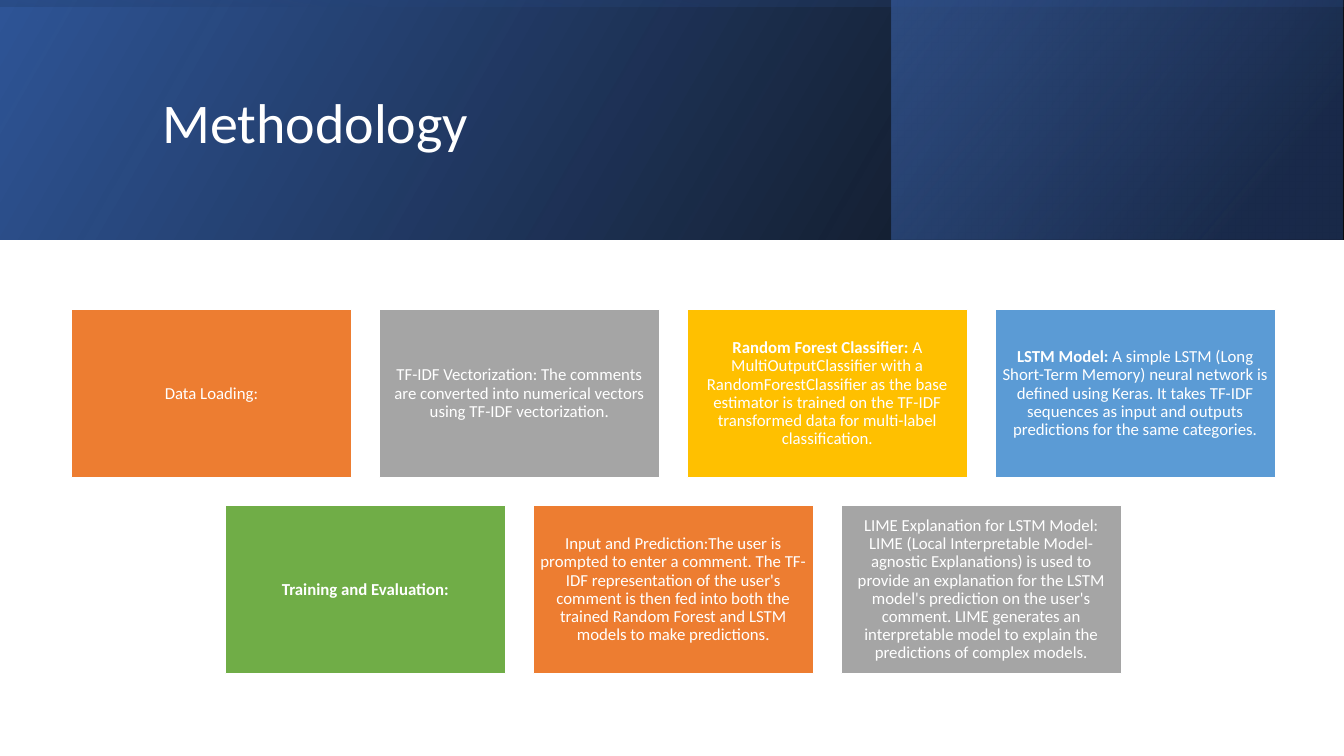
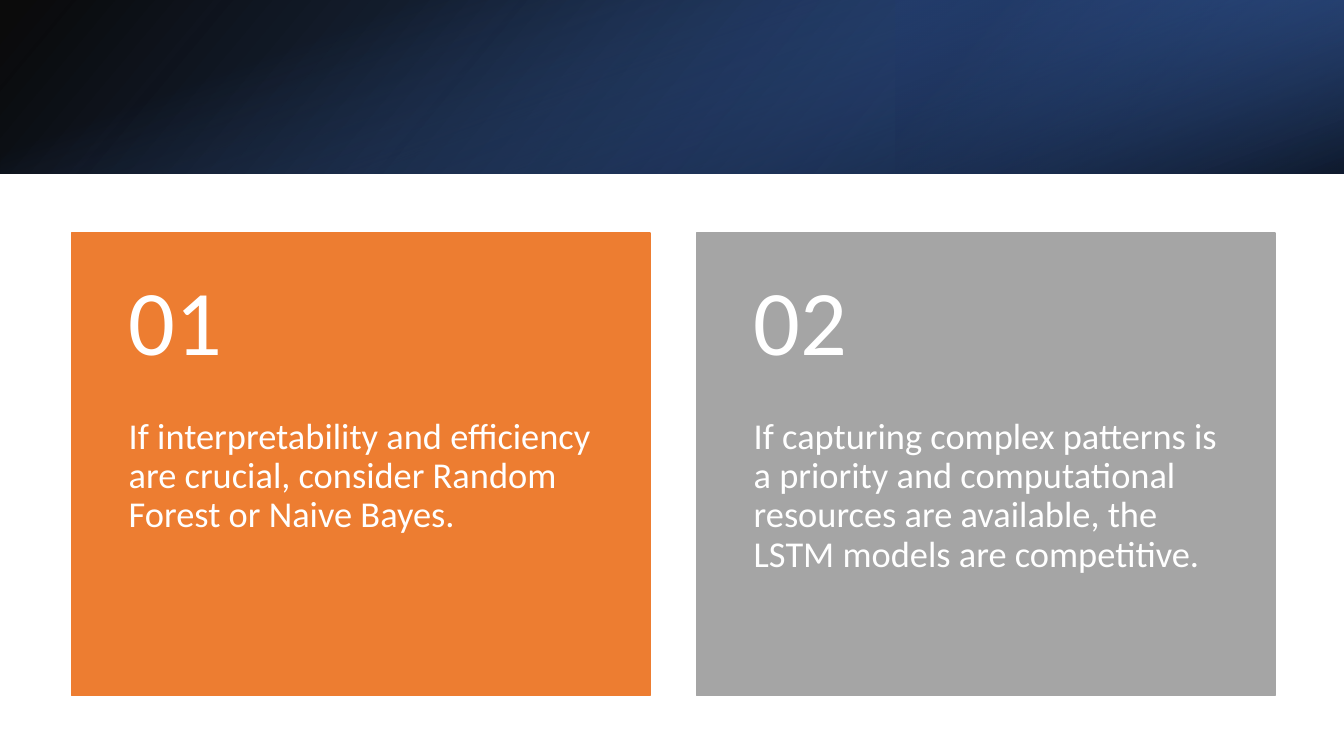
"""Build the methodology and model choice slides."""
from lxml import etree
from pptx import Presentation
from pptx.dml.color import RGBColor
from pptx.enum import shapes, text
from pptx.oxml.ns import qn
from pptx.util import Cm, Pt

C = {"white": "FFFFFF", "black": "000000", "navy": "203864", "deep": "2F5597",
     "blue": "4472C4", "orange": "ED7D31", "gray": "A5A5A5", "gold": "FFC000",
     "sky": "5B9BD5", "green": "70AD47"}
FONT = "Calibri"
W, H, CENTER = 33.87, 19.05, 16.97

STEP_ROWS = [
    [("orange", "", "Data Loading:"),
     ("gray", "", "TF-IDF Vectorization: The comments are converted into numerical vectors "
      "using TF-IDF vectorization."),
     ("gold", "Random Forest Classifier: ", "A MultiOutputClassifier with a "
      "RandomForestClassifier as the base estimator is trained on the TF-IDF transformed "
      "data for multi-label classification."),
     ("sky", "LSTM Model: ", "A simple LSTM (Long Short-Term Memory) neural network is "
      "defined using Keras. It takes TF-IDF sequences as input and outputs predictions "
      "for the same categories.")],
    [("green", "Training and Evaluation:", ""),
     ("orange", "", "Input and Prediction:The user is prompted to enter a comment. The "
      "TF-IDF representation of the user's comment is then fed into both the trained "
      "Random Forest and LSTM models to make predictions."),
     ("gray", "", "LIME Explanation for LSTM Model: LIME (Local Interpretable "
      "Model-agnostic Explanations) is used to provide an explanation for the LSTM "
      "model's prediction on the user's comment. LIME generates an interpretable model "
      "to explain the predictions of complex models.")],
]
ADVICE = [
    ("orange", "If interpretability and efficiency are crucial, consider Random Forest "
     "or Naive Bayes."),
    ("gray", "If capturing complex patterns is a priority and computational resources "
     "are available, the LSTM models are competitive."),
]
STEP_BAND = {
    "height": 6.03, "accent_left": 22.46, "accent_width": 11.38,
    "base": dict(angle=330, stops=[(0, "black", 96), (100, "deep", 100)], flip=True),
    "accent": dict(angle=320, stops=[(19, "navy", 68), (100, "blue", 48)], flip=True),
    "shade": dict(angle=350, stops=[(23, "deep", 16), (99, "black", 45)], flip=True,
                  rotation=270),
}
ADVICE_BAND = {
    "height": 4.38, "accent_left": 22.58, "accent_width": 11.29,
    "base": dict(angle=140, stops=[(0, "black", 96), (100, "deep", 100)], flip=True),
    "accent": dict(angle=320, stops=[(19, "navy", 68), (100, "blue", 79)], flip=True,
                   rotation=180),
    "shade": dict(angle=340, stops=[(23, "blue", 0), (99, "black", 74)], rotation=90),
}


def rgb(name):
    return RGBColor.from_string(C[name])


def add_rect(s, left, top, width, height):
    sp = s.shapes.add_shape(shapes.MSO_SHAPE.RECTANGLE, Cm(left), Cm(top),
                            Cm(width), Cm(height))
    sp.shadow.inherit = False
    return sp


def add_card(s, box, fill, line):
    sp = add_rect(s, *box)
    sp.fill.solid()
    sp.fill.fore_color.rgb = rgb(fill)
    sp.line.color.rgb = rgb(line)
    sp.line.width = Pt(1)
    return sp


def add_gradient(s, box, angle, stops, flip=False, rotation=0):
    sp = add_rect(s, *box)
    sp.line.fill.background()
    sp.rotation = rotation
    sp.fill.gradient()
    sp.fill.gradient_angle = 360 - angle
    for stop, (position, color, _) in zip(sp.fill.gradient_stops, stops):
        stop.position = position / 100
        stop.color.rgb = rgb(color)
    props = sp._element.spPr
    for color, (_, _, alpha) in zip(props.iter(qn("a:srgbClr")), stops):
        etree.SubElement(color, qn("a:alpha")).set("val", str(alpha * 1000))
    if flip:
        props.find(qn("a:xfrm")).set("flipH", "1")


def add_band(s, band):
    height = band["height"]
    add_gradient(s, (0, 0, W, height), **band["base"])
    add_gradient(s, (band["accent_left"], 0, band["accent_width"], height),
                 **band["accent"])
    offset = (W - height) / 2
    add_gradient(s, (offset, -offset, height, W), **band["shade"])


def write(sp, size, runs, anchor, align=text.PP_ALIGN.LEFT,
          insets=(0.25, 0.13, 0.25, 0.13)):
    tf = sp.text_frame
    tf.word_wrap = True
    tf.auto_size = text.MSO_AUTO_SIZE.NONE
    tf.vertical_anchor = anchor
    tf.margin_left, tf.margin_top, tf.margin_right, tf.margin_bottom = map(Cm, insets)
    p = tf.paragraphs[0]
    p.alignment = align
    p.line_spacing = 0.9
    for content, bold in runs:
        if content:
            r = p.add_run()
            r.text = content
            r.font.name, r.font.size, r.font.bold = FONT, Pt(size), bold
            r.font.color.rgb = rgb("white")


def centered_lefts(count, width, gap):
    start = CENTER - (count * width + (count - 1) * gap) / 2
    return [start + i * (width + gap) for i in range(count)]


def build_methodology(prs):
    s = prs.slides.add_slide(prs.slide_layouts[5])
    add_band(s, STEP_BAND)
    title = s.shapes.title
    title.left, title.top, title.width, title.height = map(Cm, (3.84, 0.97, 27, 4.37))
    write(title, 40, [("Methodology", False)], text.MSO_ANCHOR.MIDDLE)
    s.shapes._spTree.append(title._element)
    width, height, gap = 7.06, 4.24, 0.7
    for row, steps in enumerate(STEP_ROWS):
        top = 7.8 + row * (height + gap)
        for left, (fill, lead, body) in zip(centered_lefts(len(steps), width, gap), steps):
            card = add_card(s, (left, top, width, height), fill, "white")
            write(card, 12, [(lead, True), (body, False)], text.MSO_ANCHOR.MIDDLE,
                  text.PP_ALIGN.CENTER, (0.13,) * 4)


def build_advice(prs):
    s = prs.slides.add_slide(prs.slide_layouts[6])
    add_band(s, ADVICE_BAND)
    width, height, top, number_height = 14.58, 11.66, 5.87, 4.66
    lefts = centered_lefts(len(ADVICE), width, 1.17)
    for i, (left, (fill, body)) in enumerate(zip(lefts, ADVICE), 1):
        add_card(s, (left, top, width, height), fill, fill)
        number = s.shapes.add_textbox(Cm(left), Cm(top), Cm(width), Cm(number_height))
        write(number, 66, [(f"{i:02}", False)], text.MSO_ANCHOR.MIDDLE,
              insets=(1.44, 0.46, 1.44, 0.46))
        advice = s.shapes.add_textbox(Cm(left), Cm(top + number_height), Cm(width),
                                      Cm(height - number_height))
        write(advice, 26, [(body, False)], text.MSO_ANCHOR.TOP,
              insets=(1.44, 0, 1.44, 0.91))


def main():
    prs = Presentation()
    prs.slide_width, prs.slide_height = Cm(W), Cm(H)
    build_methodology(prs)
    build_advice(prs)
    prs.save("out.pptx")


if __name__ == "__main__":
    main()
